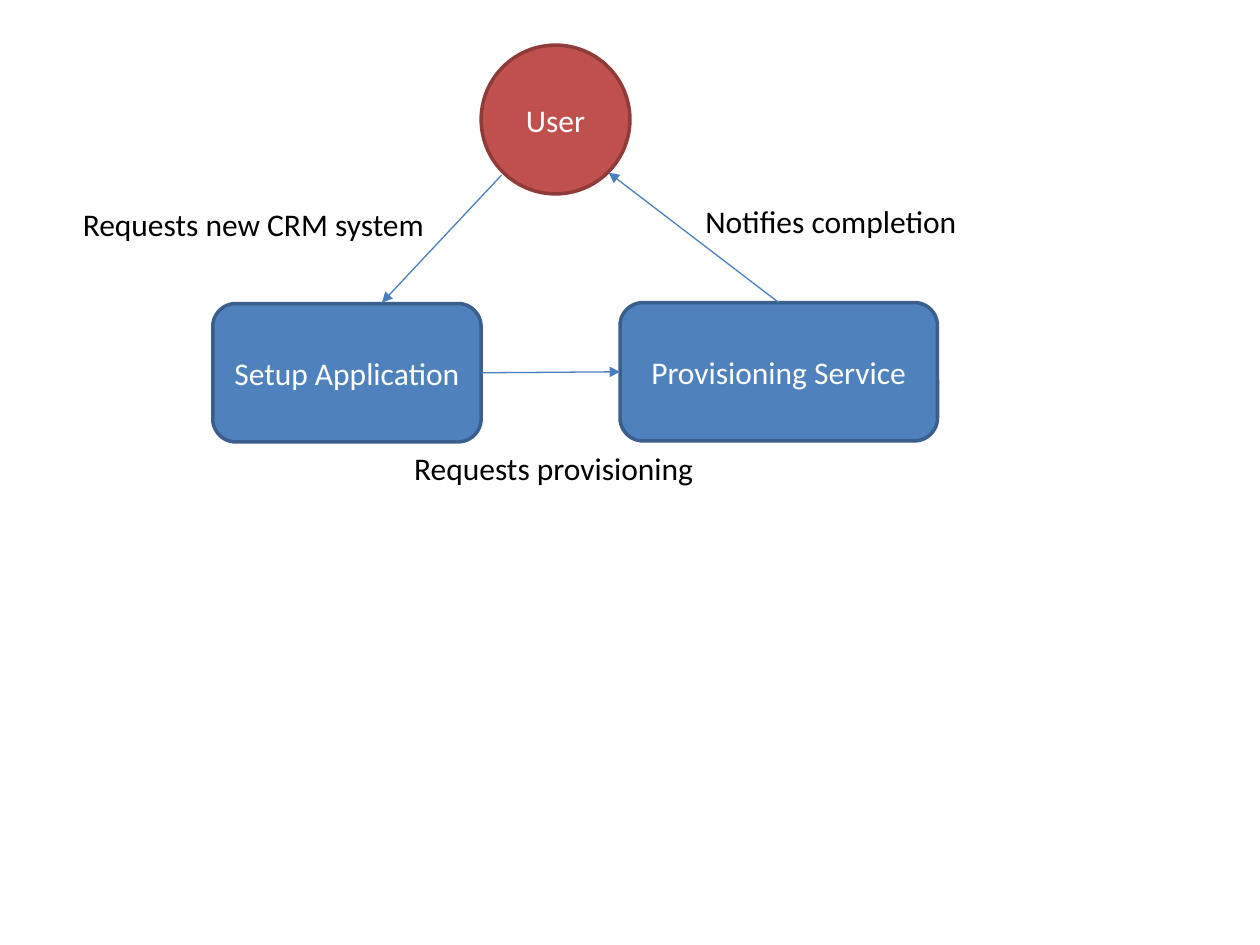
from dataclasses import dataclass

from lxml import etree
from pptx import Presentation
from pptx.dml.color import RGBColor
from pptx.enum.shapes import MSO_CONNECTOR, MSO_SHAPE
from pptx.enum.text import MSO_ANCHOR, MSO_AUTO_SIZE, PP_ALIGN
from pptx.oxml.ns import qn
from pptx.util import Cm, Pt

OVAL = MSO_SHAPE.OVAL
ROUNDED = MSO_SHAPE.ROUNDED_RECTANGLE
STRAIGHT = MSO_CONNECTOR.STRAIGHT
MIDDLE = MSO_ANCHOR.MIDDLE
FIT_SHAPE = MSO_AUTO_SIZE.SHAPE_TO_FIT_TEXT
LEFT, CENTER = PP_ALIGN.LEFT, PP_ALIGN.CENTER
TOP_SITE, LEFT_SITE, RIGHT_SITE = 0, 1, 3
BLANK_LAYOUT = 6


@dataclass(frozen=True)
class Theme:
    font: str = "Calibri"
    text_size: float = 18
    outline_width: float = 2
    arrow_width: float = 0.75
    label_text: str = "000000"
    node_text: str = "FFFFFF"
    system_fill: str = "4F81BD"
    system_outline: str = "3A5F8C"
    person_fill: str = "C0504D"
    person_outline: str = "8E3B39"
    arrow: str = "4B7EBC"


class Diagram:
    def __init__(self, slide, theme):
        self.slide = slide
        self.theme = theme

    def set_text(self, frame, text, color, align):
        frame.text = text
        paragraph = frame.paragraphs[0]
        paragraph.alignment = align
        font = paragraph.runs[0].font
        font.name = self.theme.font
        font.size = Pt(self.theme.text_size)
        font.color.rgb = RGBColor.from_string(color)

    def node(self, preset, text, box, fill, outline):
        node = self.slide.shapes.add_shape(preset, *map(Cm, box))
        node.shadow.inherit = False
        node.fill.solid()
        node.fill.fore_color.rgb = RGBColor.from_string(fill)
        node.line.color.rgb = RGBColor.from_string(outline)
        node.line.width = Pt(self.theme.outline_width)
        node.text_frame.vertical_anchor = MIDDLE
        self.set_text(node.text_frame, text, self.theme.node_text, CENTER)
        return node

    def system(self, text, box):
        return self.node(ROUNDED, text, box,
                         self.theme.system_fill, self.theme.system_outline)

    def person(self, text, box):
        return self.node(OVAL, text, box,
                         self.theme.person_fill, self.theme.person_outline)

    def arrow(self, start, end):
        arrow = self.slide.shapes.add_connector(STRAIGHT, *map(Cm, start + end))
        arrow.line.color.rgb = RGBColor.from_string(self.theme.arrow)
        arrow.line.width = Pt(self.theme.arrow_width)
        properties = arrow._element.spPr
        etree.SubElement(properties.find(qn("a:ln")), qn("a:tailEnd"), type="triangle")
        etree.SubElement(properties, qn("a:effectLst"))
        return arrow

    def label(self, text, box):
        frame = self.slide.shapes.add_textbox(*map(Cm, box)).text_frame
        frame.word_wrap = False
        frame.auto_size = FIT_SHAPE
        self.set_text(frame, text, self.theme.label_text, LEFT)


def main():
    presentation = Presentation()
    presentation.slide_width = Cm(25.4)
    presentation.slide_height = Cm(19.05)
    slide = presentation.slides.add_slide(presentation.slide_layouts[BLANK_LAYOUT])
    diagram = Diagram(slide, Theme())

    setup = diagram.system("Setup Application", (4.29, 6.12, 5.41, 2.79))
    provisioning = diagram.system("Provisioning Service", (12.5, 6.1, 6.4, 2.79))
    diagram.person("User", (9.7, 0.91, 3, 3))

    diagram.arrow((10.11, 3.53), (7.7, 6.1))
    provisioning_request = diagram.arrow((9.7, 7.52), (12.5, 7.49))
    provisioning_request.begin_connect(setup, RIGHT_SITE)
    provisioning_request.end_connect(provisioning, LEFT_SITE)
    notification = diagram.arrow((15.7, 6.1), (12.27, 3.48))
    notification.begin_connect(provisioning, TOP_SITE)

    diagram.label("Requests new CRM system", (1.42, 4.01, 7.47, 1.02))
    diagram.label("Requests provisioning", (8.1, 8.92, 6.2, 1.02))
    diagram.label("Notifies completion", (13.97, 3.94, 5.64, 1.02))

    presentation.save("out.pptx")


if __name__ == "__main__":
    main()
